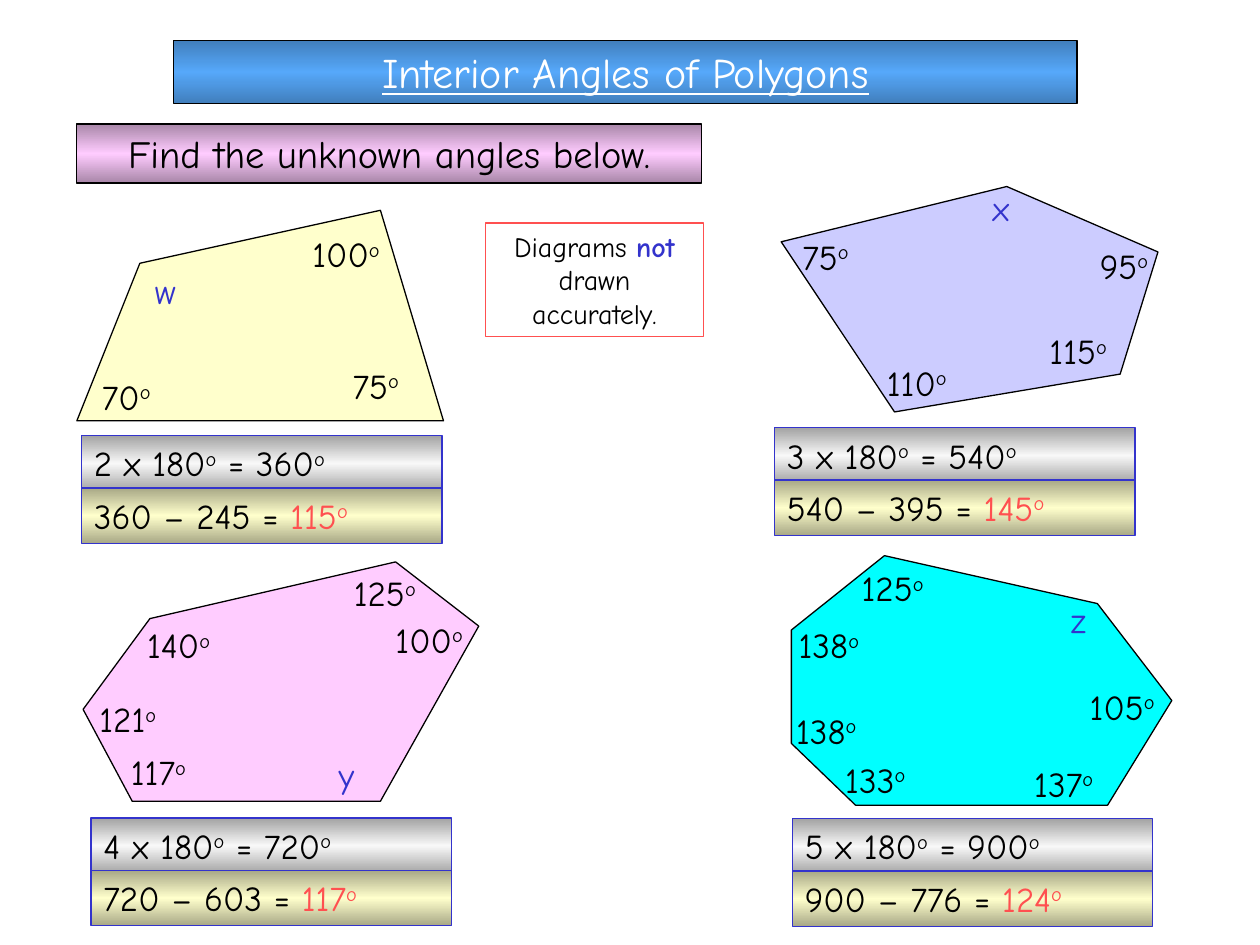
from copy import deepcopy

from pptx import Presentation
from pptx.dml.color import RGBColor
from pptx.enum.shapes import MSO_SHAPE
from pptx.enum.text import MSO_ANCHOR, MSO_AUTO_SIZE, PP_ALIGN
from pptx.oxml.ns import qn
from pptx.util import Pt

RECTANGLE = MSO_SHAPE.RECTANGLE
TOP = MSO_ANCHOR.TOP
GROW = MSO_AUTO_SIZE.SHAPE_TO_FIT_TEXT
LEFT, CENTER = PP_ALIGN.LEFT, PP_ALIGN.CENTER

FONT = "Comic Neue"
BLACK, WHITE, BLUE, RED = "000000", "FFFFFF", "3333CC", "FF5050"
DEGREE = "o"  # raised letter standing for the degree sign
BAR_WIDTH, BAR_HEIGHT, BAR_STEP = 206, 31.7, 29.9
LABEL_WIDTH, LETTER_WIDTH = 66.2, 38.9


def color(code):
    return RGBColor.from_string(code)


def write(box, size, spans, align=LEFT):
    """Fill a box with (text, colour) spans; a lone degree letter is raised."""
    frame = box.text_frame
    frame.word_wrap = True
    frame.auto_size = GROW
    frame.vertical_anchor = TOP
    para = frame.paragraphs[0]
    para.alignment = align
    for text, tint in spans:
        span = para.add_run()
        span.text = text
        span.font.name = FONT
        span.font.size = Pt(size)
        span.font.color.rgb = color(tint)
        if text == DEGREE:
            span.font._element.set("baseline", "30000")
    return para.runs


deck = Presentation()
deck.slide_width, deck.slide_height = Pt(720), Pt(540)
page = deck.slides.add_slide(deck.slide_layouts[6])

# Polygons: fill, corners, labels (text, left, top, optional width),
# place of the working, number of triangles, sum of known angles, answer
polygons = [
    ("FFFFCC",
     [(43.9, 240.5), (253.4, 240.5), (217.4, 120.2), (79.9, 150.5)],
     [("w", 81.4, 150.5), ("100", 171.4, 129.6), ("70", 51.1, 211),
      ("75", 194.4, 204.5, 52.6)],
     (46.6, 249), 2, 245, 115),
    ("CCCCFF",
     [(511.2, 235.4), (640.1, 213.8), (661.7, 144), (575.3, 106.6),
      (446.4, 138.2)],
     [("x", 560.2, 103), ("75", 451.4, 131), ("95", 621.4, 136.1, 50.4),
      ("115", 592.6, 185), ("110", 499.7, 203)],
     (442.6, 244.5), 3, 395, 145),
    ("FFCCFF",
     [(75.6, 457.9), (217.4, 457.9), (273.6, 357.8), (226.1, 321.1),
      (85.7, 353.5), (47.5, 405.4)],
     [("y", 186.5, 427), ("117", 67.7, 425.5), ("121", 49.7, 395.3),
      ("100", 218.9, 349.9), ("125", 195.1, 323.3), ("140", 77, 352.8)],
     (52, 467.5), 4, 603, 117),
    ("00FFFF",
     [(488.9, 460.1), (632.9, 460.1), (669.6, 400.3), (627.1, 344.9),
      (505.4, 317.5), (452.2, 360), (452.2, 424.8)],
     [("z", 604.8, 338.4), ("133", 475.9, 429.8), ("137", 583.9, 432),
      ("138", 447.8, 401.8), ("138", 449.3, 352.8), ("125", 485.3, 320.4),
      ("105", 615.6, 388.1)],
     (452.8, 467.9), 5, 776, 124),
]

# Banners: place, gradient edge and middle, line, size, alignment, spans
banners = [
    (99.3, 23.2, 516.2, 36, "417FBD", "56A8FA", BLACK, 24, CENTER,
     [("Interior Angles of Polygons", WHITE)]),
    (43.9, 70.9, 357, 33.8, "A886A8", "FFCCFF", BLACK, 22, CENTER,
     [("Find the unknown angles below.", BLACK)]),
]

for fill, corners, labels, (left, top), triangles, known, answer in polygons:
    # Outline
    points = [(Pt(x), Pt(y)) for x, y in corners]
    builder = page.shapes.build_freeform(*points[0])
    builder.add_line_segments(points[1:], close=True)
    polygon = builder.convert_to_shape()
    polygon.shadow.inherit = False
    polygon.fill.solid()
    polygon.fill.fore_color.rgb = color(fill)
    polygon.line.color.rgb = color(BLACK)
    polygon.line.width = Pt(0.75)

    # Angle labels
    for text, x, y, *width in labels:
        if text.isdigit():
            spans = [(text, BLACK), (DEGREE, BLACK)]
            label_width = width[0] if width else LABEL_WIDTH
        else:
            spans = [(text, BLUE)]
            label_width = LETTER_WIDTH
        label = page.shapes.add_textbox(Pt(x), Pt(y), Pt(label_width), Pt(BAR_HEIGHT))
        write(label, 20, spans)

    # Working: angle sum, then the unknown angle
    total = triangles * 180
    banners.append(
        (left, top, BAR_WIDTH, BAR_HEIGHT, "A3A3A3", "F8F8F8", BLUE, 20, LEFT,
         [(f"{triangles} x 180", BLACK), (DEGREE, BLACK),
          (f" = {total}", BLACK), (DEGREE, BLACK)]))
    banners.append(
        (left, top + BAR_STEP, BAR_WIDTH, BAR_HEIGHT, "A8A886", "FFFFCC", BLUE, 20, LEFT,
         [(f"{total} – {known} = ", BLACK), (str(answer), RED), (DEGREE, RED)]))

# Gradient banners and working bars
for left, top, width, height, edge, middle, line, size, align, spans in banners:
    banner = page.shapes.add_shape(RECTANGLE, Pt(left), Pt(top), Pt(width), Pt(height))
    banner.shadow.inherit = False
    banner.fill.gradient()
    banner.fill.gradient_angle = 90
    stop_list = banner._element.spPr.find(qn("a:gradFill")).find(qn("a:gsLst"))
    stop_list.append(deepcopy(stop_list[-1]))
    for stop, position, tint in zip(banner.fill.gradient_stops, (0, 0.5, 1),
                                    (edge, middle, edge)):
        stop.position = position
        stop.color.rgb = color(tint)
    banner.line.color.rgb = color(line)
    banner.line.width = Pt(0.75)
    runs = write(banner, size, spans, align)
    if size == 24:
        runs[0].font.underline = True

# Notice
notice = page.shapes.add_shape(RECTANGLE, Pt(277.4), Pt(127.4), Pt(124.6), Pt(64.8))
notice.shadow.inherit = False
notice.fill.background()
notice.line.color.rgb = color(RED)
notice.line.width = Pt(0.75)
runs = write(notice, 16, [("Diagrams ", BLACK), ("not ", BLUE),
                          ("drawn accurately.", BLACK)], CENTER)
runs[1].font.bold = True

deck.save("out.pptx")
